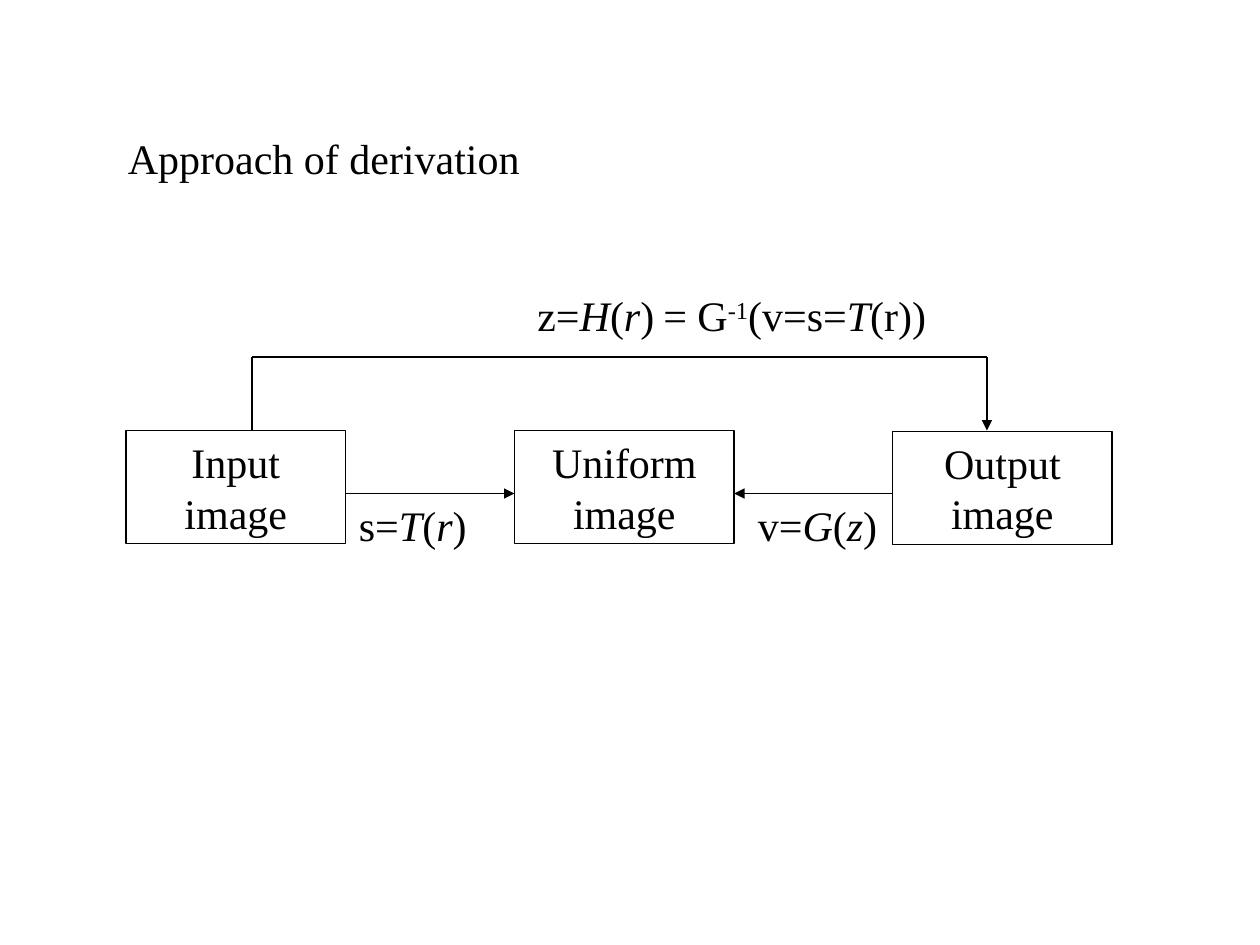
from lxml import etree
from pptx import Presentation
from pptx import util as u
from pptx.dml.color import RGBColor
from pptx.enum import shapes, text
from pptx.oxml.ns import qn

BLACK = RGBColor(0, 0, 0)
PLAIN, ITALIC, SUPER = range(3)


class Diagram:
    font = "Times New Roman"
    size = u.Pt(24)
    leading = u.Pt(28.8)
    weight = u.Pt(0.75)

    def __init__(self, slide):
        self.s = slide

    def add_text(self, sp, runs, align):
        tf = sp.text_frame
        tf.word_wrap = True
        tf.vertical_anchor = text.MSO_ANCHOR.TOP
        p = tf.paragraphs[0]
        p.alignment = align
        p.line_spacing = self.leading
        p.font.name = self.font
        p.font.size = self.size
        p.font.color.rgb = BLACK
        for words, style in runs:
            r = p.add_run()
            r.text = words
            if style == ITALIC:
                r.font.italic = True
            elif style == SUPER:
                r._r.get_or_add_rPr().set("baseline", "30000")

    def box(self, x, y, w, h, words):
        sp = self.s.shapes.add_shape(
            shapes.MSO_SHAPE.RECTANGLE, u.Pt(x), u.Pt(y), u.Pt(w), u.Pt(h))
        sp.shadow.inherit = False
        sp.fill.background()
        sp.line.color.rgb = BLACK
        sp.line.width = self.weight
        self.add_text(sp, [(words, PLAIN)], text.PP_ALIGN.CENTER)

    def label(self, x, y, w, *runs):
        sp = self.s.shapes.add_textbox(u.Pt(x), u.Pt(y), u.Pt(w), u.Pt(36))
        self.add_text(sp, runs, text.PP_ALIGN.LEFT)

    def line(self, x1, y1, x2, y2, arrow=False):
        sp = self.s.shapes.add_connector(
            shapes.MSO_CONNECTOR.STRAIGHT, u.Pt(x1), u.Pt(y1), u.Pt(x2), u.Pt(y2))
        sp.line.color.rgb = BLACK
        sp.line.width = self.weight
        if arrow:
            etree.SubElement(sp.line._get_or_add_ln(), qn("a:tailEnd"), type="triangle")
        etree.SubElement(sp._element.spPr, qn("a:effectLst"))


def main():
    prs = Presentation()
    prs.slide_width, prs.slide_height = u.Pt(720), u.Pt(540)
    d = Diagram(prs.slides.add_slide(prs.slide_layouts[6]))

    box_w, box_h, box_top = 125.5, 64.8, 246
    input_x, uniform_x, output_x = 72, 294, 510
    arrow_y, loop_y = 282, 204
    loop_left, loop_right = 144, 564

    d.label(66, 72, 450, ("Approach of derivation", PLAIN))

    d.box(input_x, box_top, box_w, box_h, "Input image")
    d.box(uniform_x, box_top, box_w, box_h, "Uniform image")
    d.box(output_x, box_top + 0.5, box_w, box_h, "Output image")

    d.line(input_x + box_w, arrow_y, uniform_x, arrow_y, arrow=True)
    d.line(output_x, arrow_y, uniform_x + box_w, arrow_y, arrow=True)
    d.line(loop_left, box_top, loop_left, loop_y)
    d.line(loop_left, loop_y, loop_right, loop_y)
    d.line(loop_right, loop_y, loop_right, box_top, arrow=True)

    for x, y, result, function, argument in (
        (198, arrow_y, "s=", "T", "r"),
        (426, arrow_y, "v=", "G", "z"),
        (300, 162, "z=", "H", "r"),
    ):
        d.label(x, y, 89.5, (result, PLAIN), (function, ITALIC), ("(", PLAIN),
                (argument, ITALIC), (")", PLAIN))
    d.label(372, 162, 174, ("= G", PLAIN), ("-1", SUPER), ("(v=s=", PLAIN),
            ("T", ITALIC), ("(r))", PLAIN))

    prs.save("out.pptx")


if __name__ == "__main__":
    main()
